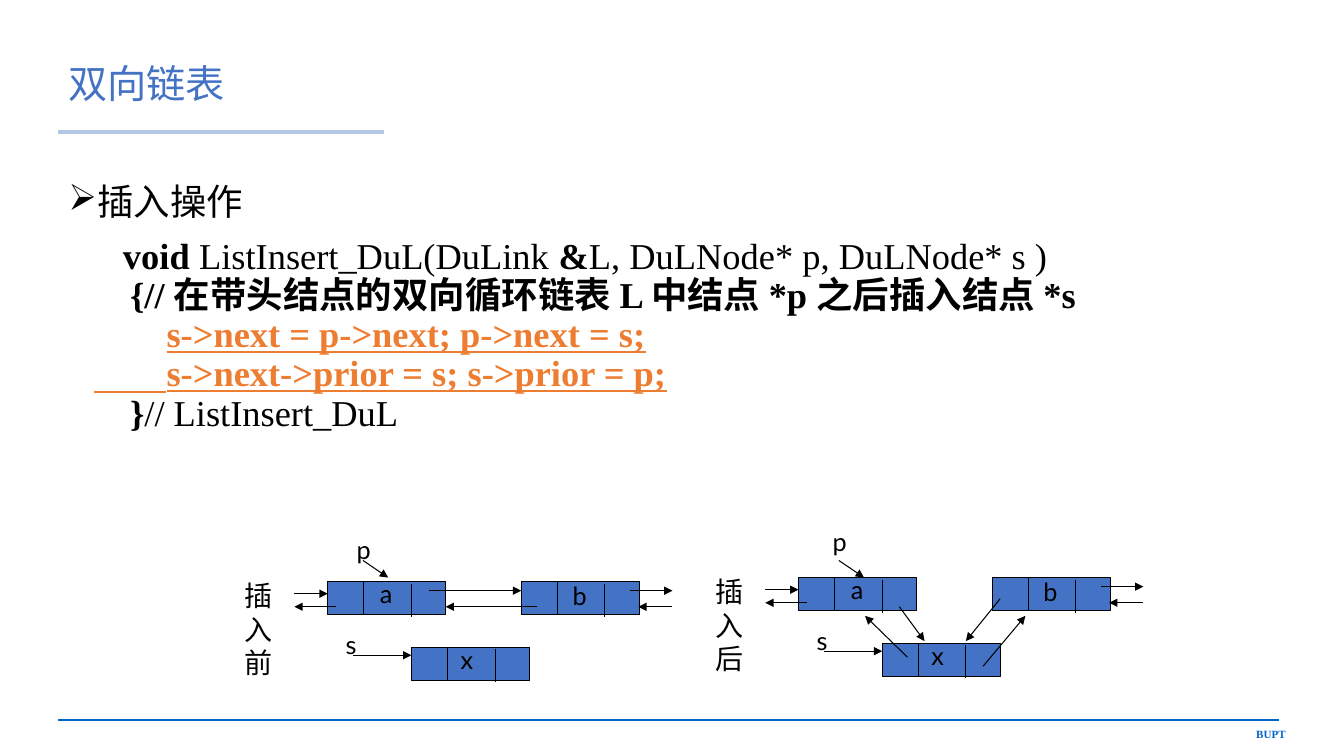
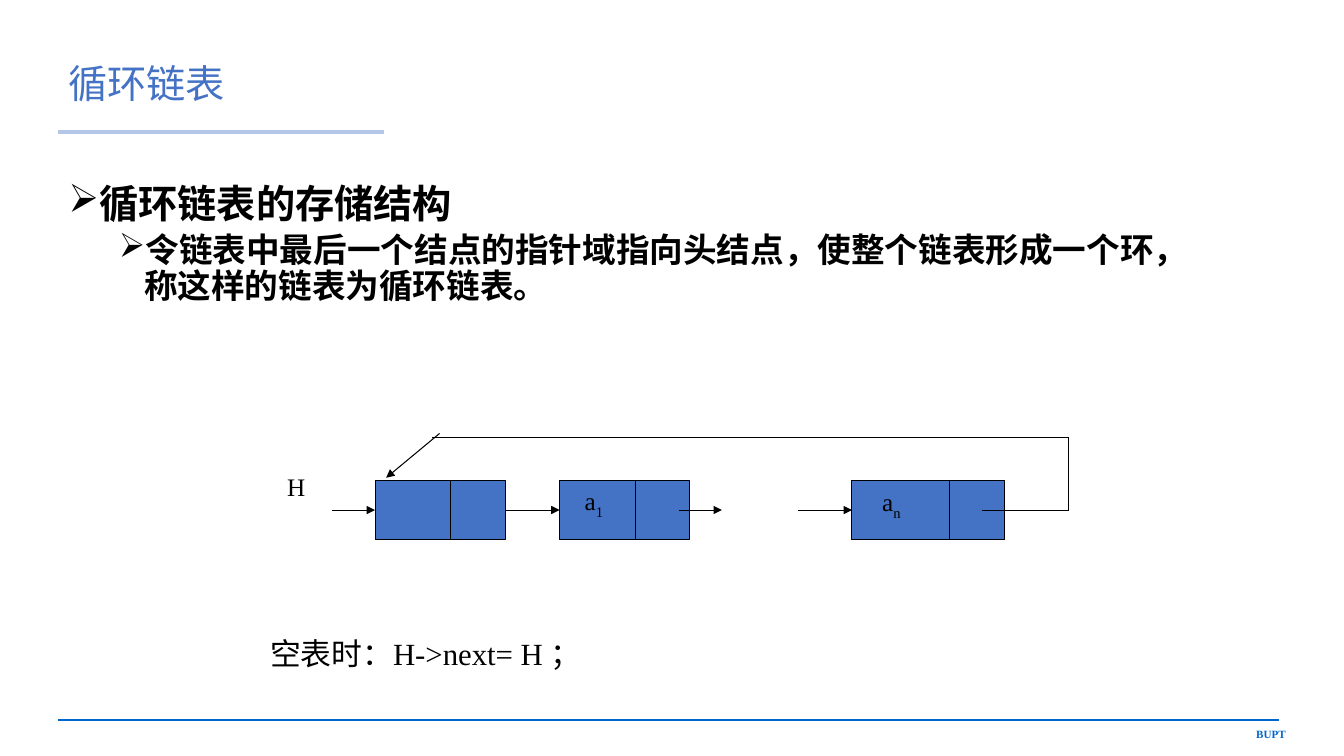
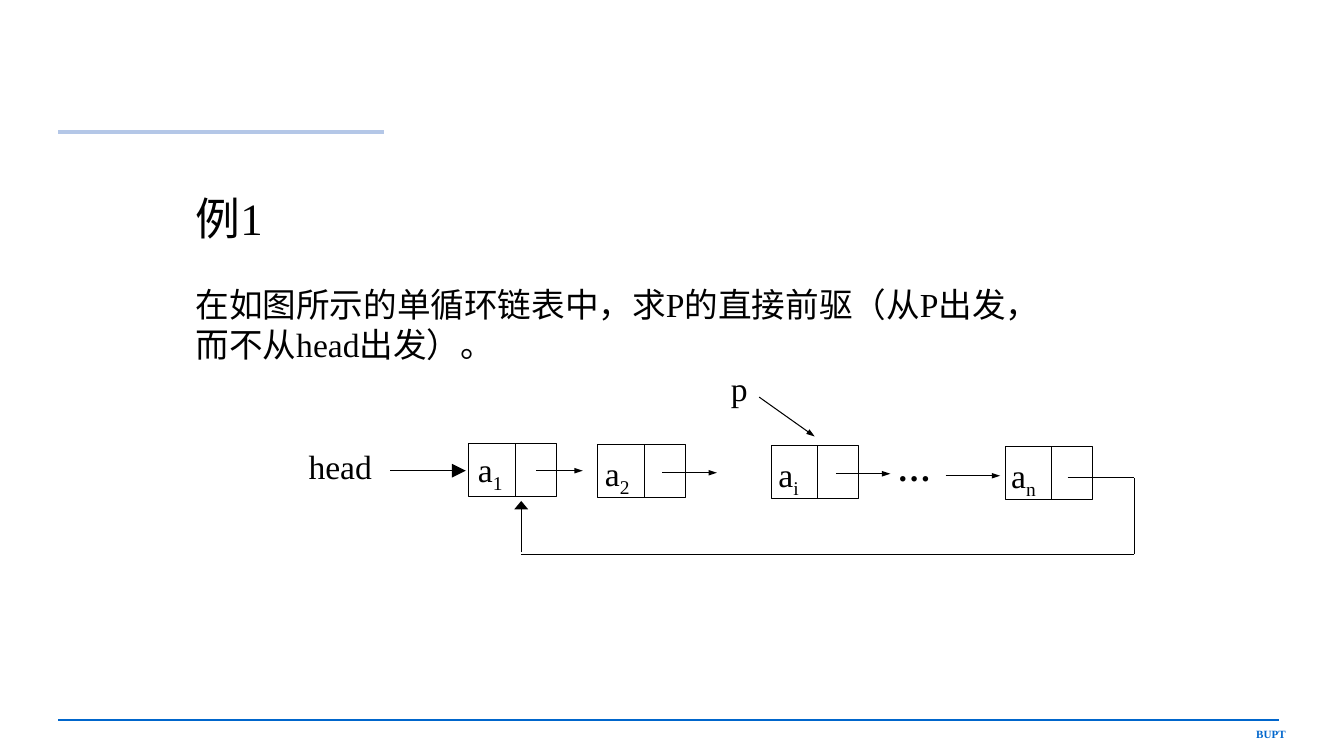
from dataclasses import dataclass
from typing import Optional

import lxml.etree
import pptx
import pptx.dml.color
import pptx.enum.shapes
import pptx.enum.text
import pptx.oxml.ns
import pptx.shapes.autoshape
import pptx.shapes.connector
import pptx.slide
import pptx.text.text
import pptx.util

Inches = pptx.util.Inches
Pt = pptx.util.Pt
RGBColor = pptx.dml.color.RGBColor
Align = pptx.enum.text.PP_ALIGN

BLACK = RGBColor(0x00, 0x00, 0x00)
NODE_BLUE = RGBColor(0x44, 0x72, 0xC4)
TITLE_RULE = RGBColor(0xB4, 0xC7, 0xE7)
FOOTER_BLUE = RGBColor(0x00, 0x66, 0xCC)
CODE_ORANGE = RGBColor(0xED, 0x7D, 0x31)
SERIF = "Times New Roman"
SANS = "Lato"
TOP, LEFT, BOTTOM, RIGHT = range(4)
MEDIUM = ("med", "med")
NARROW = ("sm", "med")
LARGE = ("lg", "lg")
WIDE = ("lg", "med")
BODY_BOX = (0.58, 1.78, 11.18, 4.76)


@dataclass(frozen=True)
class Span:
    text: str
    bold: bool = False
    color: RGBColor = BLACK
    underline: bool = False
    subscript: bool = False


@dataclass(frozen=True)
class Line:
    spans: tuple[Span, ...]
    size: float
    font: str = SERIF
    align: Align = Align.LEFT
    spacing: Optional[float] = None
    before: float = 0
    margin: float = 0
    indent: float = 0
    level: int = 0
    bullet: bool = False


@dataclass(frozen=True)
class Divider:
    offset: float
    drop: float = 0


@dataclass(frozen=True)
class Node:
    left: float
    top: float
    width: float
    height: float
    dividers: tuple[Divider, ...]
    fill: Optional[RGBColor] = NODE_BLUE


@dataclass(frozen=True)
class Link:
    x1: float
    y1: float
    x2: float
    y2: float
    head: Optional[tuple[str, str]] = MEDIUM
    source: Optional[int] = None
    target: Optional[int] = None


@dataclass(frozen=True)
class Label:
    left: float
    top: float
    width: float
    height: float
    text: str
    subscript: str = ""
    size: float = 18
    font: str = SERIF
    inset: bool = True
    bold: bool = False


def add_rule(slide: pptx.slide.Slide, link: Link, color: RGBColor = BLACK,
             weight: float = 0.75) -> pptx.shapes.connector.Connector:
    rule = slide.shapes.add_connector(
        pptx.enum.shapes.MSO_CONNECTOR.STRAIGHT,
        Inches(link.x1), Inches(link.y1), Inches(link.x2), Inches(link.y2))
    rule.line.color.rgb = color
    rule.line.width = Pt(weight)
    if link.head:
        width, length = link.head
        lxml.etree.SubElement(rule.line._get_or_add_ln(), pptx.oxml.ns.qn("a:tailEnd"),
                              type="triangle", w=width, len=length)
    lxml.etree.SubElement(rule._element.spPr, pptx.oxml.ns.qn("a:effectLst"))
    return rule


def write_line(paragraph: pptx.text.text._Paragraph, line: Line) -> None:
    properties = paragraph._p.get_or_add_pPr()
    properties.set("marL", str(Inches(line.margin)))
    properties.set("indent", str(Inches(line.indent)))
    if line.bullet:
        lxml.etree.SubElement(properties, pptx.oxml.ns.qn("a:buChar"), char="➢")
    paragraph.level = line.level
    paragraph.alignment = line.align
    paragraph.space_before = Pt(line.before)
    if line.spacing:
        paragraph.line_spacing = line.spacing
    for span in line.spans:
        run = paragraph.add_run()
        run.text = span.text
        run.font.name = line.font
        run.font.size = Pt(line.size)
        run.font.bold = span.bold
        run.font.underline = span.underline
        run.font.color.rgb = span.color
        if span.subscript:
            run._r.get_or_add_rPr().set("baseline", "-25000")


def add_text(slide: pptx.slide.Slide, box: tuple[float, float, float, float],
             lines: list[Line], inset: bool = True,
             anchor: pptx.enum.text.MSO_ANCHOR = pptx.enum.text.MSO_ANCHOR.TOP) -> None:
    frame = slide.shapes.add_textbox(*map(Inches, box)).text_frame
    frame.word_wrap = True
    frame.vertical_anchor = anchor
    if not inset:
        frame.margin_left = frame.margin_right = frame.margin_top = frame.margin_bottom = 0
    for index, line in enumerate(lines):
        write_line(frame.add_paragraph() if index else frame.paragraphs[0], line)


def add_node(slide: pptx.slide.Slide, node: Node) -> pptx.shapes.autoshape.Shape:
    cell = slide.shapes.add_shape(
        pptx.enum.shapes.MSO_SHAPE.RECTANGLE,
        Inches(node.left), Inches(node.top), Inches(node.width), Inches(node.height))
    cell.shadow.inherit = False
    if node.fill is None:
        cell.fill.background()
    else:
        cell.fill.solid()
        cell.fill.fore_color.rgb = node.fill
    cell.line.color.rgb = BLACK
    cell.line.width = Pt(0.75)
    for divider in node.dividers:
        x, y = node.left + divider.offset, node.top + divider.drop
        add_rule(slide, Link(x, y, x, y + node.height, head=None))
    return cell


def draw_list(slide: pptx.slide.Slide, nodes: list[Node], links: list[Link],
              labels: list[Label]) -> None:
    cells = [add_node(slide, node) for node in nodes]
    for link in links:
        rule = add_rule(slide, link)
        if link.source is not None:
            rule.begin_connect(cells[link.source], RIGHT)
        if link.target is not None:
            rule.end_connect(cells[link.target], LEFT)
    for label in labels:
        spans = [Span(label.text, bold=label.bold)]
        if label.subscript:
            spans.append(Span(label.subscript, subscript=True))
        add_text(slide, (label.left, label.top, label.width, label.height),
                 [Line(tuple(spans), label.size, label.font)], label.inset)


def add_page(deck: pptx.presentation.Presentation, title: str = "") -> pptx.slide.Slide:
    slide = deck.slides.add_slide(deck.slide_layouts[6])
    add_rule(slide, Link(0.58, 7.14, 12.69, 7.14, head=None), FOOTER_BLUE, 1.5)
    add_text(slide, (11.5, 7.17, 1.35, 0.23),
             [Line((Span("BUPT", bold=True, color=FOOTER_BLUE),), 7.9, align=Align.RIGHT)])
    add_rule(slide, Link(0.58, 1.31, 3.81, 1.31, head=None), TITLE_RULE, 3.5)
    if title:
        add_text(slide, (0.58, 0.4, 11.18, 0.9),
                 [Line((Span(title, color=NODE_BLUE),), 28, spacing=0.9)],
                 anchor=pptx.enum.text.MSO_ANCHOR.MIDDLE)
    return slide


def draw_double_list(slide: pptx.slide.Slide, dx: float, dy: float, caption: str,
                     p_label: tuple[float, float], links: list[Link]) -> None:
    dividers = (Divider(0.36), Divider(0.83, 0.02))
    nodes = [Node(x + dx, y + dy, 1.17, 0.33, dividers)
             for x, y in ((3.25, 5.77), (5.17, 5.77), (4.08, 6.42))]
    shared = [Link(x1 + dx, y1 + dy, x2 + dx, y2 + dy) for x1, y1, x2, y2 in (
        (2.92, 5.89, 3.25, 5.89), (3.33, 6.02, 2.92, 6.02),
        (6.25, 5.86, 6.67, 5.86), (6.67, 6.02, 6.33, 6.02),
        (3.5, 6.5, 4.08, 6.5))]
    labels = [Label(x + dx, y + dy, width, 0.4, text, font=SANS) for x, y, width, text in (
        (3.67, 5.69, 0.42, "a"), (5.58, 5.71, 0.58, "b"),
        (4.47, 6.34, 0.45, "x"), (3.33, 6.19, 0.42, "s"))]
    labels.append(Label(2.33 + dx, 5.69 + dy, 0.5, 1.1, caption, size=20, font=SANS))
    p_left, p_top = p_label
    labels.append(Label(p_left, p_top, 0.33, 0.4, "p", font=SANS))
    p_arrow = Link(p_left + 0.16, 5.56, p_left + 0.41, 5.73)
    draw_list(slide, nodes, shared + [p_arrow] + links, labels)


def build_double_list(deck: pptx.presentation.Presentation) -> None:
    slide = add_page(deck, "双向链表")
    code = [
        (Span("      void", bold=True), Span(" ListInsert_DuL(DuLink "),
         Span("&", bold=True), Span("L, DuLNode* p, DuLNode* s )")),
        (Span("　"), Span("{// 在带头结点的双向循环链表 L 中结点 *p 之后插入结点 *s", bold=True)),
        (Span("　　", bold=True),
         Span("s->next = p->next; p->next = s;", True, CODE_ORANGE, True)),
        (Span("　　s->next->prior = s; s->prior = p;", True, CODE_ORANGE, True),),
        (Span("　"), Span("}", bold=True), Span("// ListInsert_DuL")),
    ]
    lines = [Line((Span("插入操作"),), 26, spacing=0.9, margin=0.25, indent=-0.25, bullet=True)]
    for number, spans in enumerate(code):
        opening = number == 0
        lines.append(Line(spans, 26, spacing=0.9, before=10 if opening else 0,
                          margin=0.25, indent=-0.25 if opening else 0))
    add_text(slide, BODY_BOX, lines)
    draw_double_list(slide, 0, 0, "插入前", (3.44, 5.25), [
        Link(4.25, 5.86, 5.17, 5.86), Link(5.33, 6.02, 4.42, 6.02)])
    draw_double_list(slide, 4.67, -0.04, "插入后", (8.16, 5.17), [
        Link(8.92, 6.02, 9.17, 6.36), Link(9, 6.52, 8.58, 6.11),
        Link(9.92, 5.94, 9.58, 6.36), Link(9.75, 6.61, 10.17, 6.11)])


def build_circular_list(deck: pptx.presentation.Presentation) -> None:
    slide = add_page(deck, "循环链表")
    add_text(slide, BODY_BOX, [
        Line((Span("循环链表的存储结构", bold=True),), 28, spacing=0.9,
             margin=0.25, indent=-0.25, bullet=True),
        Line((Span("令链表中最后一个结点的指针域指向头结点，使整个链表形成一个环，"
                   "称这样的链表为循环链表。", bold=True),), 24, spacing=0.9, before=5,
             margin=0.75, indent=-0.25, level=1, bullet=True)])
    nodes = [Node(left, 4.77, width, 0.58, (Divider(split),))
             for left, width, split in ((3.72, 1.29, 0.75), (5.55, 1.29, 0.75),
                                        (8.45, 1.51, 0.97))]
    links = [
        Link(3.29, 5.06, 3.72, 5.06, target=0),
        Link(5.01, 5.06, 5.55, 5.06, source=0, target=1),
        Link(6.73, 5.06, 7.16, 5.06),
        Link(7.91, 5.06, 8.45, 5.06, target=2),
        Link(9.74, 5.06, 10.6, 5.06, head=None),
        Link(10.6, 5.06, 10.6, 4.34, head=None),
        Link(10.6, 4.34, 4.28, 4.34, head=None),
        Link(4.36, 4.3, 3.83, 4.74)]
    draw_list(slide, nodes, links, [
        Label(2.75, 4.63, 0.65, 0.4, "H"),
        Label(5.7, 4.77, 0.75, 0.4, "a", "1"),
        Label(8.65, 4.78, 0.91, 0.4, "a", "n")])
    add_text(slide, (2.58, 6.17, 7.58, 0.55),
             [Line((Span("空表时：H->next= H ；"),), 22, spacing=1.2)])


def build_example(deck: pptx.presentation.Presentation) -> None:
    slide = add_page(deck)
    add_text(slide, (1.84, 1.84, 9, 1.85), [
        Line((Span("例1"),), 32),
        Line((Span("在如图所示的单循环链表中，求P的直接前驱（从P出发，"),), 24, before=28),
        Line((Span("而不从head出发）。"),), 24)])
    nodes = [Node(left, top, 0.87, 0.53, (Divider(0.46),), fill=None)
             for left, top in ((4.65, 4.4), (5.93, 4.41), (7.65, 4.42), (9.97, 4.43))]
    links = [
        Link(3.87, 4.67, 4.62, 4.67, LARGE),
        Link(5.32, 4.67, 5.78, 4.67, NARROW),
        Link(6.57, 4.69, 7.11, 4.69, NARROW),
        Link(8.29, 4.7, 8.83, 4.7, NARROW),
        Link(9.38, 4.72, 9.92, 4.72, NARROW),
        Link(7.53, 3.94, 8.08, 4.33, NARROW),
        Link(10.59, 4.74, 11.25, 4.74, None),
        Link(11.25, 4.74, 11.25, 5.5, None),
        Link(11.25, 5.5, 5.17, 5.5, None),
        Link(5.17, 5.48, 5.17, 4.97, WIDE)]
    labels = [Label(left, top, 0.4, 0.39, "a", index, 24, inset=False)
              for left, top, index in ((4.74, 4.45, "1"), (6, 4.49, "2"),
                                       (7.72, 4.5, "i"), (10.03, 4.51, "n"))]
    labels += [
        Label(3.06, 4.42, 1.11, 0.42, "head", size=24, inset=False),
        Label(7.25, 3.65, 0.4, 0.5, "p", size=24, inset=False),
        Label(8.9, 4.44, 0.46, 0.5, "…", size=24, inset=False, bold=True)]
    draw_list(slide, nodes, links, labels)


def main() -> None:
    deck = pptx.Presentation()
    deck.slide_width = Inches(13.33)
    deck.slide_height = Inches(7.5)
    build_double_list(deck)
    build_circular_list(deck)
    build_example(deck)
    deck.save("out.pptx")


if __name__ == "__main__":
    main()
